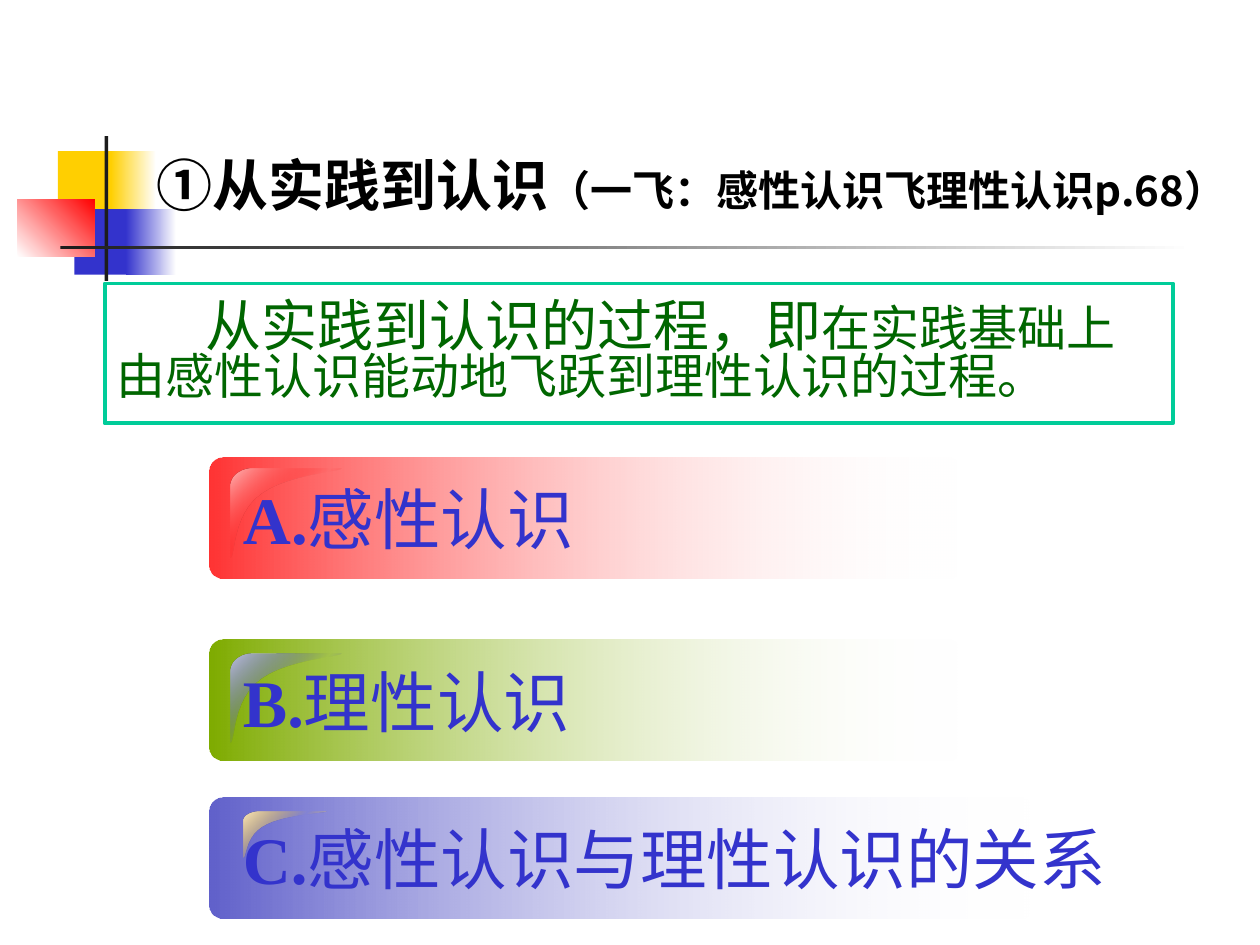
from lxml import etree
from pptx import Presentation
from pptx.dml.color import RGBColor
from pptx.enum.shapes import MSO_SHAPE
from pptx.enum.text import MSO_ANCHOR
from pptx.oxml.ns import qn
from pptx.util import Inches, Pt

RECT, ROUND = MSO_SHAPE.RECTANGLE, MSO_SHAPE.ROUNDED_RECTANGLE
MIDDLE = MSO_ANCHOR.MIDDLE
SANS, SANS_JP, SERIF = "Noto Sans CJK SC", "Noto Sans CJK JP", "Times New Roman"
WHITE, BLACK, DARK = "FFFFFF", "000000", "1C1C1C"
YELLOW, BLUE, RED = "FFCF01", "3333CC", "FF0000"
GREEN, TEAL = "006600", "00CC99"

# Curled corner in unit coordinates: start, then cubic curves and one straight edge
CURL_START = (0.2, 0)
CURL_PARTS = [
    [(0.09, 0), (0, 0.09), (0, 0.2)],
    [(0, 0.99)],
    [(0.05, 1), (0.01, 0.51), (0.28, 0.28)],
    [(0.53, 0.06), (1.01, 0.04), (1, 0)],
]
CURVE_STEPS = 12


def color(value):
    return RGBColor.from_string(value)


def set_gradient(shape, stops, angle=0):
    """Each stop is (position %, colour, opacity %); angle runs clockwise."""
    shape.fill.gradient()
    gradient = shape._element.spPr.find(qn("a:gradFill"))
    stop_list = gradient.find(qn("a:gsLst"))
    for old in list(stop_list):
        stop_list.remove(old)
    for position, value, opacity in stops:
        stop = etree.SubElement(stop_list, qn("a:gs"), pos=str(position * 1000))
        tint = etree.SubElement(stop, qn("a:srgbClr"), val=value)
        if opacity < 100:
            etree.SubElement(tint, qn("a:alpha"), val=str(opacity * 1000))
    line = gradient.find(qn("a:lin"))
    line.set("ang", str(angle * 60000))
    line.set("scaled", "0")


def add_block(page, box, fill, kind=RECT, angle=0):
    """Fill is one colour or a list of gradient stops."""
    shape = page.shapes.add_shape(kind, *map(Inches, box))
    shape.shadow.inherit = False
    shape.line.fill.background()
    if isinstance(fill, list):
        set_gradient(shape, fill, angle)
    else:
        shape.fill.solid()
        shape.fill.fore_color.rgb = color(fill)
    return shape


def add_text(page, box, spans, wrap=True):
    """Spans are (text, font formats, East Asian font)."""
    text_box = page.shapes.add_textbox(*map(Inches, box))
    frame = text_box.text_frame
    frame.word_wrap = wrap
    frame.vertical_anchor = MIDDLE
    para = frame.paragraphs[0]
    for text, formats, asian in spans:
        span = para.add_run()
        span.text = text
        for name, value in formats.items():
            if name == "color":
                span.font.color.rgb = color(value)
            else:
                setattr(span.font, name, value)
        etree.SubElement(span._r.get_or_add_rPr(), qn("a:ea"), typeface=asian)
    return text_box


def cubic(start, first, second, end):
    for step in range(1, CURVE_STEPS + 1):
        t = step / CURVE_STEPS
        u = 1 - t
        yield tuple(u**3 * a + 3 * u * u * t * b + 3 * u * t * t * c + t**3 * d
                    for a, b, c, d in zip(start, first, second, end))


def add_curl(page, box, accent, pale):
    left, top, width, height = box
    points = [CURL_START]
    for part in CURL_PARTS:
        points += part if len(part) == 1 else cubic(points[-1], *part)
    places = [(Inches(left + x * width), Inches(top + y * height)) for x, y in points]
    builder = page.shapes.build_freeform(*places[0], scale=1.0)
    builder.add_line_segments(places[1:], close=True)
    shape = builder.convert_to_shape()
    shape.shadow.inherit = False
    shape.line.fill.background()
    set_gradient(shape, [(0, pale, 100), (50, accent, 0), (100, pale, 100)], 45)


def add_ornament(page, box):
    """Overlapping colour squares crossed by a vertical and a long fading bar."""
    left, top, width, height = box

    def fade(start, end=WHITE):
        return [(0, start, 100), (100, end, 100)]

    for x, y, w, h, fill, angle in [
        (0.32, 0.12, 0.48, 0.52, YELLOW, 0),
        (0.74, 0.12, 0.36, 0.52, fade(YELLOW), 0),
        (0.45, 0.58, 0.46, 0.52, BLUE, 0),
        (0.86, 0.58, 0.4, 0.52, fade(BLUE), 0),
        (0, 0.5, 0.61, 0.46, fade(WHITE, RED), 315),
        (0.69, 0, 0.03, height, DARK, 0),
        (0.34, 0.87, width - 0.34, 0.03, fade(DARK), 0),
    ]:
        add_block(page, (left + x, top + y, w, h), fill, angle=angle)


def add_title(page, box):
    base = {"name": SANS, "bold": True, "color": BLACK}
    add_text(page, box, [
        ("①从实践到认识", {**base, "size": Pt(32)}, SANS),
        ("（一飞：感性认识飞理性认识p.68）", {**base, "size": Pt(24)}, SANS),
    ], wrap=False)


def add_definition(page, box):
    base = {"name": SANS_JP, "color": GREEN}
    text_box = add_text(page, box, [
        ("从实践到认识的过程，即", {**base, "size": Pt(32)}, SANS_JP),
        ("在实践基础上由感性认识能动地飞跃到理性认识的过程。",
         {**base, "size": Pt(28)}, SANS_JP),
    ])
    text_box.line.color.rgb = color(TEAL)
    text_box.line.width = Pt(2.25)
    para = text_box.text_frame.paragraphs[0]
    para.line_spacing = 0.8
    para._p.get_or_add_pPr().set("indent", str(Inches(0.7)))


def add_item(page, box, item):
    left, top, width, height = box
    bar = add_block(page, box, [(0, item["fill"], item["opacity"]), (100, WHITE, 0)], ROUND)
    bar.adjustments[0] = 0.115
    x, y, w, h = item["curl"]
    add_curl(page, (left + x, top + y, w, h), item["accent"], item["pale"])
    base = {"name": SERIF, "size": Pt(38), "color": BLUE}
    add_text(page, (left + 0.17, top + 0.11, item["text_width"], 0.74), [
        (item["letter"], {**base, "bold": True}, SANS),
        (item["label"], {**base, "bold": False}, SANS),
    ])


ITEMS = [
    {"letter": "A.", "label": "感性认识", "top": 3.63, "width": 5.97, "text_width": 6.42,
     "fill": RED, "opacity": 80, "accent": RED, "pale": "FFBFBF",
     "curl": (0.17, 0.09, 0.88, 0.71)},
    {"letter": "B.", "label": "理性认识", "top": 5.08, "width": 5.97, "text_width": 7.1,
     "fill": "7FAC00", "opacity": 100, "accent": BLUE, "pale": "C1C1E8",
     "curl": (0.17, 0.11, 0.88, 0.71)},
    {"letter": "C.", "label": "感性认识与理性认识的关系", "top": 6.33, "width": 6.54,
     "text_width": 8.06, "fill": "6161CB", "opacity": 100, "accent": YELLOW,
     "pale": "FFE9BF", "curl": (0.27, 0.11, 0.66, 0.37)},
]


def main():
    deck = Presentation()
    deck.slide_width, deck.slide_height = Inches(10), Inches(7.5)
    page = deck.slides.add_slide(deck.slide_layouts[6])
    add_ornament(page, (0.14, 1.08, 9.34, 1.15))
    add_title(page, (1.14, 1.14, 8.86, 0.64))
    add_definition(page, (0.83, 2.25, 8.48, 1.11))
    for item in ITEMS:
        add_item(page, (1.66, item["top"], item["width"], 0.96), item)
    deck.save("out.pptx")


if __name__ == "__main__":
    main()
